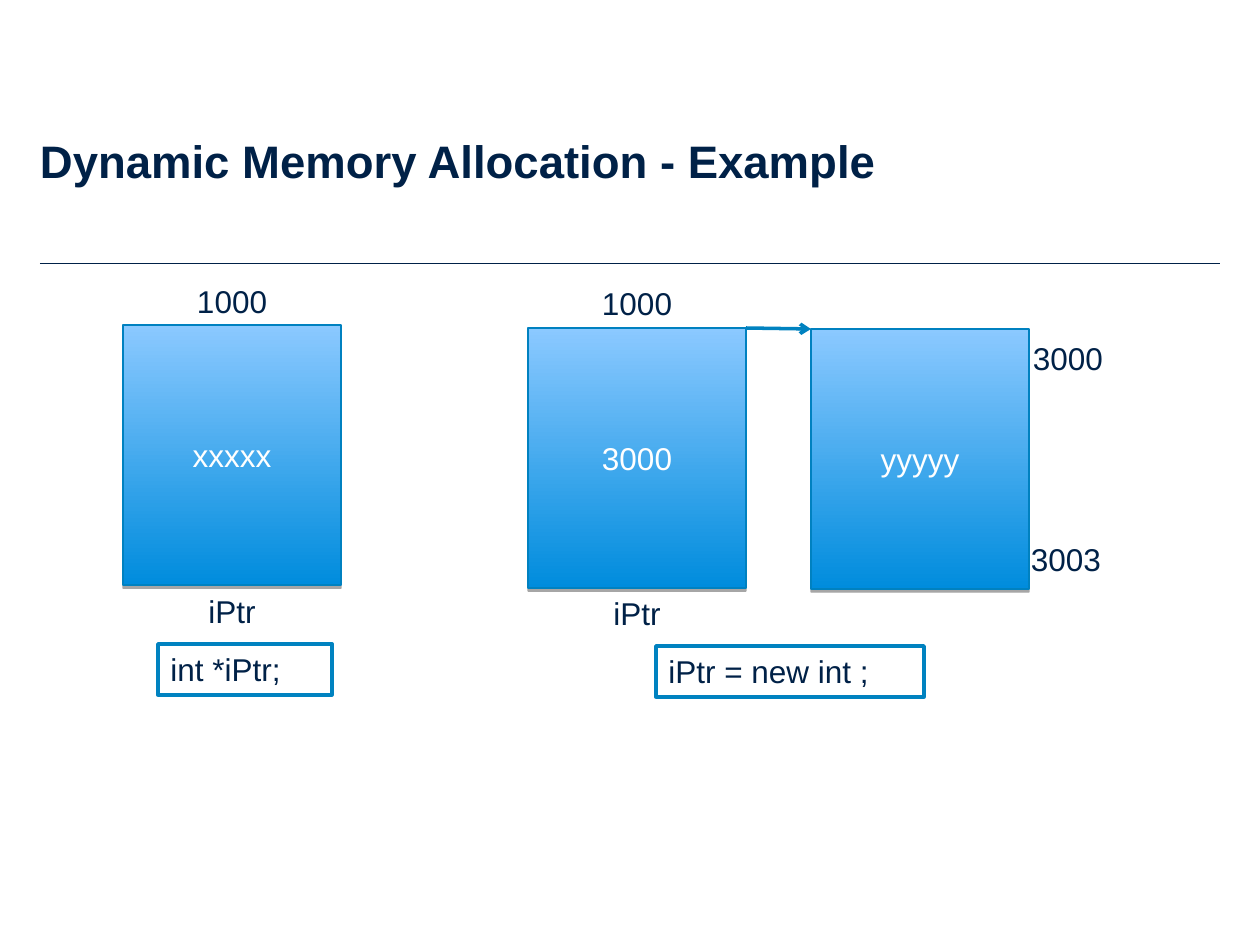
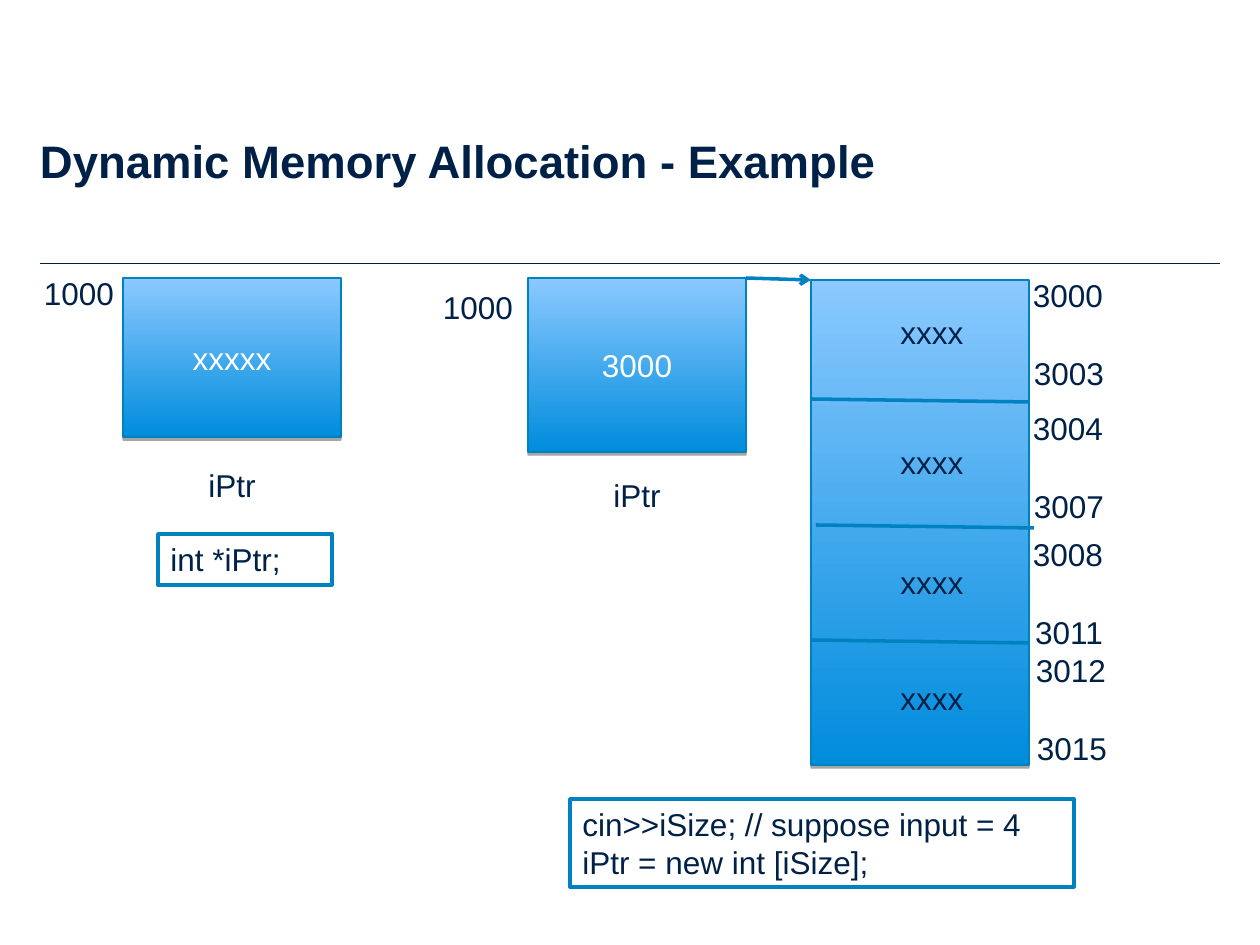
from lxml import etree
from pptx import Presentation
from pptx.dml.color import RGBColor
from pptx.enum.shapes import MSO_CONNECTOR as CONN, MSO_SHAPE as SHAPE
from pptx.enum.text import MSO_ANCHOR as ANCHOR, PP_ALIGN as ALIGN
from pptx.oxml.ns import qn
from pptx.util import Pt

# Shared look
PX = 914400 / 126
NAVY, BLUE, EDGE, WHITE = "002147", "0082C0", "0081C0", "FFFFFF"
GRADIENT = ("008CDD", "8BC9FF")
TITLE = "Dynamic Memory Allocation - Example"
FONT = "Arial"

# Memory columns and line heights
BEFORE, POINTER, HEAP = 123, 528, 811
BOX_W, LINE_H, ADDRESS_W = 218, 51, 126

# Boxes: (text, left, top, height); labels: (text, left, top, width)
# Code: (lines, left, top, width, height); dividers: (left, top)
SINGLE = dict(
    boxes=[("xxxxx", BEFORE, 325, 260), ("3000", POINTER, 328, 260),
           ("yyyyy", HEAP, 329, 260)],
    labels=[("1000", BEFORE, 276, BOX_W), ("iPtr", BEFORE, 586, BOX_W),
            ("1000", POINTER, 278, BOX_W), ("iPtr", POINTER, 588, BOX_W),
            ("3000", 1005, 333, ADDRESS_W), ("3003", 1003, 534, ADDRESS_W)],
    code=[("int *iPtr;", 158, 644, 174, LINE_H),
          ("iPtr = new int ;", 656, 646, 268, LINE_H)],
    dividers=[])

# Array elements: (first address, address left, address top, value top)
ELEMENTS = [(3000, 1005, 270, 307), (3004, 1005, 403, 437),
            (3008, 1005, 529, 557), (3012, 1008, 645, 673)]
INT_BYTES, LAST_DX, LAST_DY, LAST_W, VALUE_X = 4, 13, 78, 102, 869


def element_labels(first, left, top, value_top):
    return [(str(first), left, top, ADDRESS_W),
            (str(first + INT_BYTES - 1), left + LAST_DX, top + LAST_DY, LAST_W),
            ("xxxx", VALUE_X, value_top, ADDRESS_W)]


ARRAY = dict(
    boxes=[("xxxxx", BEFORE, 278, 159), ("3000", POINTER, 278, 174),
           ("", HEAP, 280, 485)],
    labels=[("1000", 0, 268, 158), ("iPtr", BEFORE, 460, BOX_W),
            ("1000", 386, 282, 184), ("iPtr", POINTER, 470, BOX_W)]
    + [label for element in ELEMENTS for label in element_labels(*element)],
    code=[("int *iPtr;", 158, 534, 174, LINE_H),
          ("cin>>iSize; // suppose input = 4\niPtr = new int [iSize];",
           570, 799, 504, 88)],
    dividers=[(HEAP, 399), (HEAP + 5, 525), (HEAP, 640)])


def px(*lengths):
    return [round(n * PX) for n in lengths]


def rgb(color):
    return RGBColor.from_string(color)


def write(sp, text, color=NAVY, size=18, bold=False, align=ALIGN.LEFT,
          anchor=ANCHOR.TOP):
    tf = sp.text_frame
    tf.word_wrap = True
    tf.vertical_anchor = anchor
    tf.text = text
    for p in tf.paragraphs:
        p.alignment = align
        for r in p.runs:
            r.font.name, r.font.size, r.font.bold = FONT, Pt(size), bold
            r.font.color.rgb = rgb(color)
    return tf


def add_text(s, text, left, top, width, height=LINE_H, **style):
    sp = s.shapes.add_textbox(*px(left, top, width, height))
    return write(sp, text, **style)


def add_rect(s, left, top, width, height, line, weight):
    sp = s.shapes.add_shape(SHAPE.RECTANGLE, *px(left, top, width, height))
    sp.shadow.inherit = False
    sp.line.color.rgb = rgb(line)
    sp.line.width = Pt(weight)
    return sp


def add_memory_box(s, text, left, top, height):
    sp = add_rect(s, left, top, BOX_W, height, EDGE, 0.75)
    sp.fill.gradient()
    sp.fill.gradient_angle = 90
    for stop, color in zip(sp.fill.gradient_stops, GRADIENT):
        stop.color.rgb = rgb(color)
    # Hard shadow just below the box
    effects = sp._element.spPr.find(qn("a:effectLst"))
    shadow = etree.SubElement(effects, qn("a:outerShdw"), blurRad="0",
                              dist=str(Pt(1.8)), dir="5400000", rotWithShape="0")
    black = etree.SubElement(shadow, qn("a:srgbClr"), val="000000")
    etree.SubElement(black, qn("a:alpha"), val="35000")
    if text:
        write(sp, text, WHITE, align=ALIGN.CENTER, anchor=ANCHOR.MIDDLE)


def add_code(s, lines, *place):
    sp = add_rect(s, *place, BLUE, 2)
    sp.fill.solid()
    sp.fill.fore_color.rgb = rgb(WHITE)
    write(sp, lines)


def add_line(s, x1, y1, x2, y2, color=BLUE, weight=2, arrow=False):
    cn = s.shapes.add_connector(CONN.STRAIGHT, *px(x1, y1, x2, y2))
    cn.line.color.rgb = rgb(color)
    cn.line.width = Pt(weight)
    if arrow:
        etree.SubElement(cn.line._get_or_add_ln(), qn("a:tailEnd"), type="arrow")
    etree.SubElement(cn._element.spPr, qn("a:effectLst"))


def add_slide(prs, content):
    s = prs.slides.add_slide(prs.slide_layouts[6])
    # Title and rule
    add_line(s, 40, 264, 1220, 264, NAVY, 0.6)
    tf = add_text(s, TITLE, 40, 13, 956, 175, size=26, bold=True,
                  anchor=ANCHOR.BOTTOM)
    tf.margin_left = tf.margin_right = tf.margin_bottom = 0
    # Memory boxes and the pointer between the last two
    for box in content["boxes"]:
        add_memory_box(s, *box)
    (_, left, top, _), (_, heap_left, heap_top, _) = content["boxes"][1:]
    add_line(s, left + BOX_W, top, heap_left, heap_top, arrow=True)
    for left, top in content["dividers"]:
        add_line(s, left, top, left + BOX_W, top + 3)
    # Addresses, names and code
    for label in content["labels"]:
        add_text(s, *label, align=ALIGN.CENTER)
    for code in content["code"]:
        add_code(s, *code)


def main():
    prs = Presentation()
    prs.slide_width, prs.slide_height = px(1260, 945)
    for content in (SINGLE, ARRAY):
        add_slide(prs, content)
    prs.save("out.pptx")


if __name__ == "__main__":
    main()
